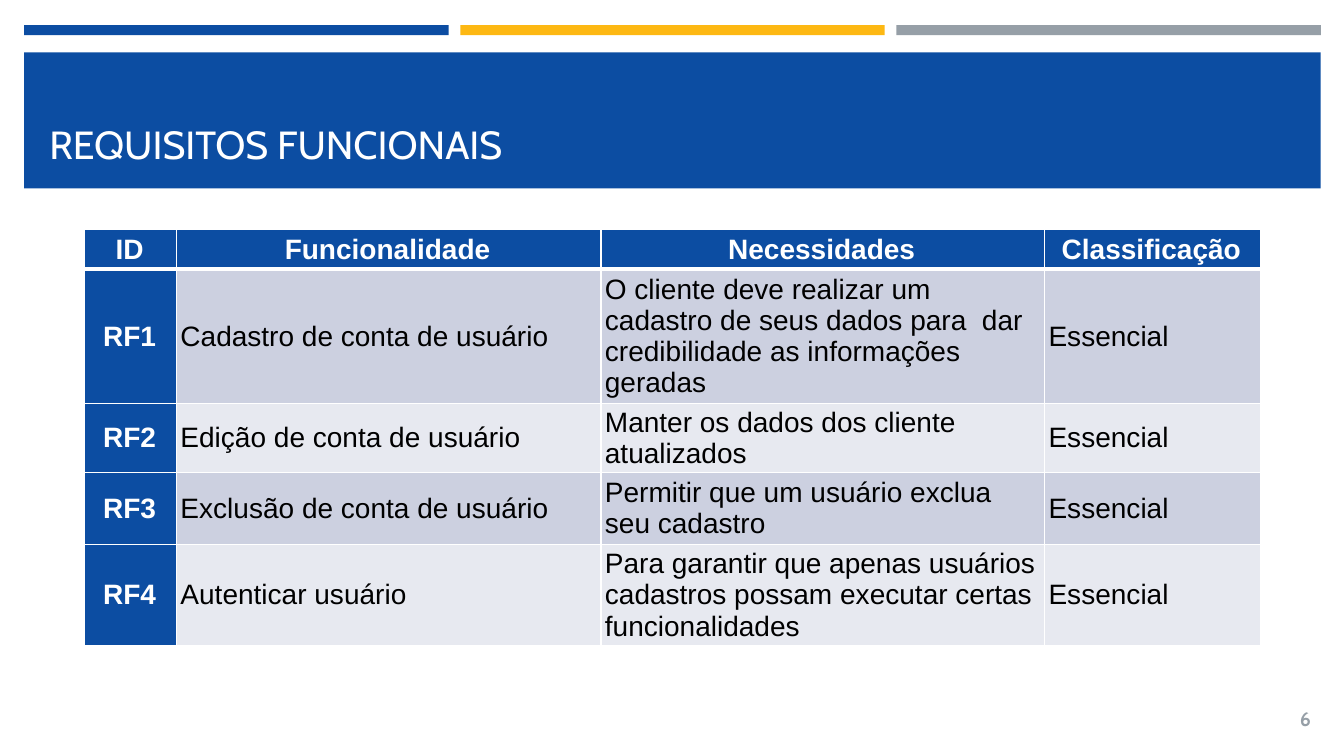
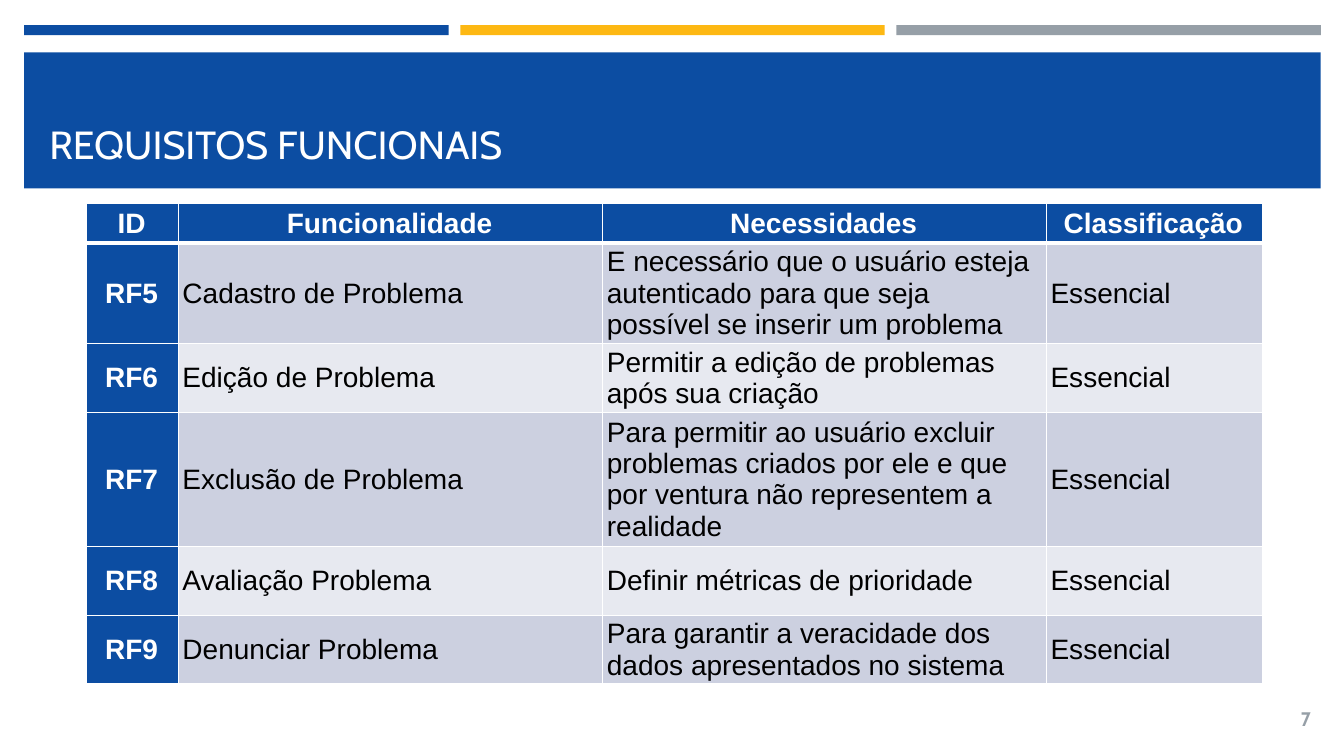
from lxml import etree
from pptx import Presentation
from pptx.dml.color import RGBColor
from pptx.enum import shapes, text
from pptx.oxml import ns
from pptx.util import Inches, Pt

BLUE = RGBColor(0x0C, 0x4D, 0xA2)
YELLOW = RGBColor(0xFD, 0xB8, 0x13)
GRAY = RGBColor(0x96, 0x9F, 0xA7)
WHITE = RGBColor(0xFF, 0xFF, 0xFF)
BLACK = RGBColor(0x00, 0x00, 0x00)
ROW_FILLS = (RGBColor(0xCC, 0xD0, 0xE0), RGBColor(0xE7, 0xE9, 0xF0))

HEADING_FONT = "Cabin"
TABLE_FONT = "Arial"
BAND_LEFT, BAND_WIDTH = 0.24, 12.86
STRIPE_WIDTH = 4.21

TITLE = "REQUISITOS FUNCIONAIS"
HEADERS = ("ID", "Funcionalidade", "Necessidades", "Classificação")
CLASSIFICATION = "Essencial"
COLUMN_WIDTHS = (0.91, 4.21, 4.4, 2.14)
HEADER_HEIGHT = 0.39

# Each requirement: row height, ID, feature, need
ACCOUNT_REQUIREMENTS = (
    (1.24, "RF1", "Cadastro de conta de usuário",
     "O cliente deve realizar um cadastro de seus dados para  dar "
     "credibilidade as informações geradas"),
    (0.68, "RF2", "Edição de conta de usuário",
     "Manter os dados dos cliente atualizados"),
    (0.72, "RF3", "Exclusão de conta de usuário",
     "Permitir que um usuário exclua seu cadastro"),
    (0.93, "RF4", "Autenticar usuário",
     "Para garantir que apenas usuários cadastros possam executar certas "
     "funcionalidades"),
)
PROBLEM_REQUIREMENTS = (
    (0.93, "RF5", "Cadastro de Problema",
     "E necessário que o usuário esteja autenticado para que seja possível "
     "se inserir um problema"),
    (0.68, "RF6", "Edição de Problema",
     "Permitir a edição de problemas após sua criação"),
    (1.24, "RF7", "Exclusão de Problema",
     "Para permitir ao usuário excluir problemas criados por ele e que por "
     "ventura não representem a realidade"),
    (0.68, "RF8", "Avaliação Problema", "Definir métricas de prioridade"),
    (0.68, "RF9", "Denunciar Problema",
     "Para garantir a veracidade dos dados apresentados no sistema"),
)


def add_bar(slide, left, top, width, height, color):
    bar = slide.shapes.add_shape(
        shapes.MSO_SHAPE.RECTANGLE,
        Inches(left), Inches(top), Inches(width), Inches(height))
    bar.shadow.inherit = False
    bar.fill.solid()
    bar.fill.fore_color.rgb = color
    bar.line.fill.background()


def write(paragraph, content, font, size, color, bold=False,
          align=text.PP_ALIGN.LEFT):
    paragraph.alignment = align
    run = paragraph.add_run()
    run.text = content
    run.font.name = font
    run.font.size = Pt(size)
    run.font.bold = bold
    run.font.color.rgb = color


def add_text(slide, box, inset, anchor, content, size, color, **style):
    """Add a one-line text box; inset is its top and bottom margin."""
    frame = slide.shapes.add_textbox(*map(Inches, box)).text_frame
    frame.word_wrap = True
    frame.vertical_anchor = anchor
    frame.margin_left = frame.margin_right = Inches(0.1)
    frame.margin_top = frame.margin_bottom = Inches(inset)
    write(frame.paragraphs[0], content, HEADING_FONT, size, color, **style)


def add_frame(slide, page):
    """Draw the stripes, title band and page number every slide has."""
    step = (BAND_WIDTH - STRIPE_WIDTH) / 2
    for index, color in enumerate((BLUE, YELLOW, GRAY)):
        add_bar(slide, BAND_LEFT + index * step, 0.25, STRIPE_WIDTH, 0.1, color)
    add_bar(slide, BAND_LEFT, 0.52, BAND_WIDTH, 1.35, BLUE)
    add_text(slide, (0.39, 0.65, 12.59, 1.11), 0.1, text.MSO_ANCHOR.BOTTOM,
             TITLE, 28, WHITE)
    add_text(slide, (12.24, 6.93, 0.86, 0.4), 0.05, text.MSO_ANCHOR.MIDDLE,
             str(page), 14, GRAY, bold=True, align=text.PP_ALIGN.RIGHT)


def set_borders(cell, top, bottom):
    """Give a cell white borders; top and bottom are widths in points."""
    properties = cell._tc.get_or_add_tcPr()
    for side, width in (("L", 1), ("R", 1), ("T", top), ("B", bottom)):
        line = etree.SubElement(properties, ns.qn(f"a:ln{side}"),
                                w=str(Pt(width)))
        fill = etree.SubElement(line, ns.qn("a:solidFill"))
        etree.SubElement(fill, ns.qn("a:srgbClr"), val=str(WHITE))


def fill_cell(cell, content, row, column):
    is_heading = row == 0 or column == 0
    set_borders(cell, top=3 if row == 1 else 1, bottom=3 if row == 0 else 1)
    cell.fill.solid()
    cell.fill.fore_color.rgb = BLUE if is_heading else ROW_FILLS[(row - 1) % 2]
    cell.vertical_anchor = text.MSO_ANCHOR.MIDDLE
    cell.margin_left, cell.margin_right = Inches(0.04), Inches(0.06)
    cell.margin_top = cell.margin_bottom = 0
    write(cell.text_frame.paragraphs[0], content, TABLE_FONT, 20,
          WHITE if is_heading else BLACK, bold=is_heading,
          align=text.PP_ALIGN.CENTER if is_heading else text.PP_ALIGN.LEFT)


def add_requirements(slide, left, top, requirements):
    heights = [HEADER_HEIGHT] + [height for height, *_ in requirements]
    rows = [HEADERS] + [(*cells, CLASSIFICATION) for _, *cells in requirements]
    table = slide.shapes.add_table(
        len(rows), len(HEADERS), Inches(left), Inches(top),
        Inches(sum(COLUMN_WIDTHS)), Inches(sum(heights))).table
    table.first_col = True
    for column, width in zip(table.columns, COLUMN_WIDTHS):
        column.width = Inches(width)
    for row, (height, contents) in enumerate(zip(heights, rows)):
        table.rows[row].height = Inches(height)
        for column, content in enumerate(contents):
            fill_cell(table.cell(row, column), content, row, column)


def main():
    presentation = Presentation()
    presentation.slide_width = Inches(13.33)
    presentation.slide_height = Inches(7.5)
    pages = ((6, 0.84, 2.28, ACCOUNT_REQUIREMENTS),
             (7, 0.86, 2.02, PROBLEM_REQUIREMENTS))
    for page, left, top, requirements in pages:
        slide = presentation.slides.add_slide(presentation.slide_layouts[6])
        add_frame(slide, page)
        add_requirements(slide, left, top, requirements)
    presentation.save("out.pptx")


if __name__ == "__main__":
    main()
